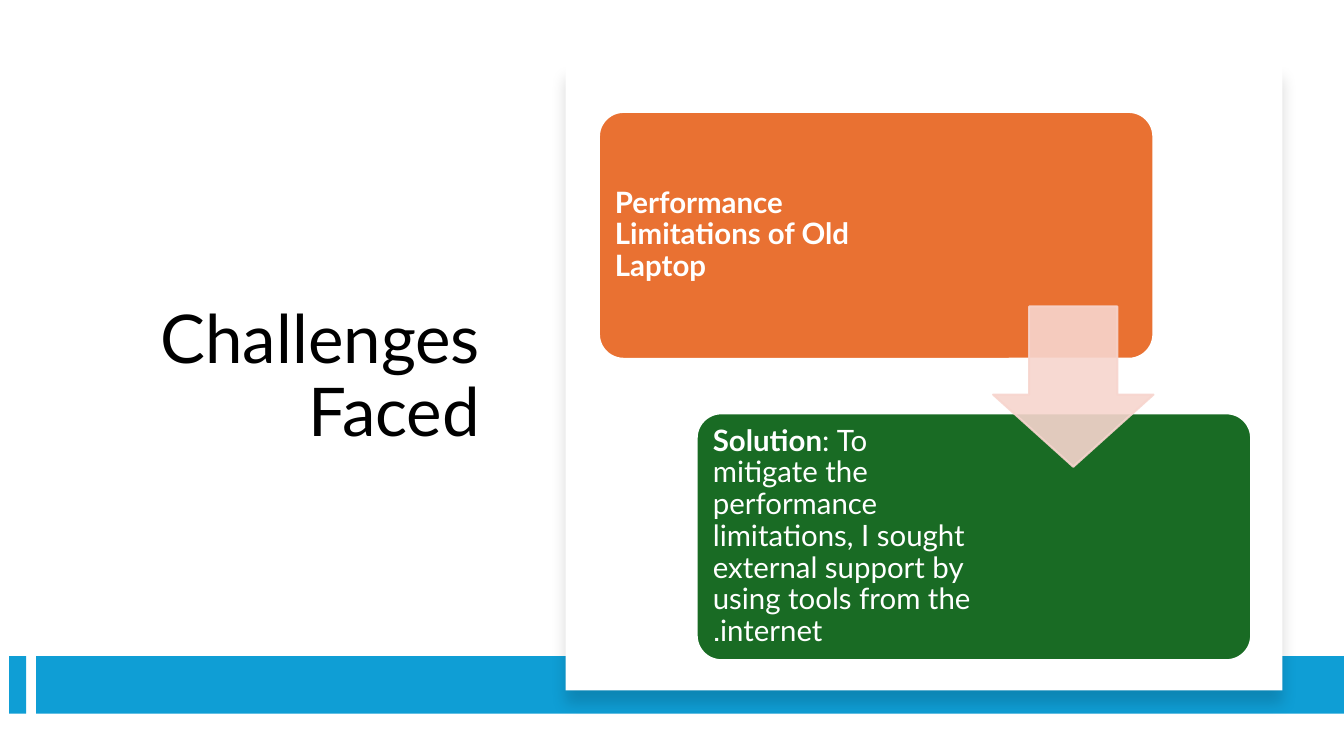
from lxml import etree
from pptx import Presentation
from pptx.dml.color import RGBColor
from pptx.enum import shapes as sh, text as tx
from pptx.oxml import ns
from pptx.util import Inches, Pt

# Content: runs are (text, bold)
TITLE = [("Challenges Faced", False)]
CARDS = [
    ("orange", 2.97, [("Performance Limitations of Old Laptop", True)]),
    ("green", 2.79, [
        ("Solution", True),
        (": To mitigate the performance limitations, I sought external "
         "support by using tools from the internet.", False)]),
]
HEX = {"blue": "0F9ED5", "white": "FFFFFF", "black": "000000",
       "orange": "E97132", "green": "196B24", "pink": "F7D5CE"}
FONT = "Lato"
KIND = sh.MSO_SHAPE

prs = Presentation()
prs.slide_width, prs.slide_height = Inches(13.33), Inches(7.5)
slide = prs.slides.add_slide(prs.slide_layouts[6])


def rgb(name):
    return RGBColor.from_string(HEX[name])


def sub(parent, tag, **attrs):
    return etree.SubElement(parent, ns.qn(tag), **attrs)


def shape(kind, box, fill, line=None, adj=()):
    item = slide.shapes.add_shape(kind, *map(Inches, box))
    item.shadow.inherit = False
    item.fill.solid()
    item.fill.fore_color.rgb = rgb(fill)
    if line:
        item.line.color.rgb = rgb(line)
        item.line.width = Pt(1.5)
    else:
        item.line.fill.background()
    for i, val in enumerate(adj):
        item.adjustments[i] = val
    return item


def write(box, runs, size, color, align, pad=None):
    frame = slide.shapes.add_textbox(*map(Inches, box)).text_frame
    frame.word_wrap = True
    frame.vertical_anchor = tx.MSO_ANCHOR.MIDDLE
    if pad is not None:
        frame.margin_left = frame.margin_right = Inches(pad)
        frame.margin_top = frame.margin_bottom = Inches(pad)
    para = frame.paragraphs[0]
    para.alignment = align
    para.line_spacing = 0.9
    para._p.get_or_add_pPr().set("rtl", "1")
    for words, bold in runs:
        run = para.add_run()
        run.text = words
        run.font.name, run.font.size, run.font.bold = FONT, Pt(size), bold
        run.font.color.rgb = rgb(color)


# Title
write((0.71, 1.2, 4.15, 5.1), TITLE, 48, "black", tx.PP_ALIGN.RIGHT)

# Footer band
for left, width in ((0.09, 0.17), (0.36, 12.97)):
    shape(KIND.RECTANGLE, (left, 6.51, width, 0.57), "blue")

# White panel with a soft shadow below
panel = shape(KIND.RECTANGLE, (5.61, 0.64, 7.11, 6.21), "white")
glow = sub(panel._element.spPr.find(ns.qn("a:effectLst")), "a:outerShdw",
           blurRad=str(Pt(11)), dist=str(Pt(10)), dir="5400000",
           algn="ctr", rotWithShape="0")
sub(sub(glow, "a:srgbClr", val=HEX["black"]), "a:alpha", val="15000")

# Stepped cards
for i, (fill, width, runs) in enumerate(CARDS):
    left, top = 5.94 + 0.97 * i, 1.11 + 2.99 * i
    shape(KIND.ROUNDED_RECTANGLE, (left, top, 5.5, 2.45), fill, "white", [0.1])
    write((left + 0.07, top + 0.07, width, 2.31), runs, 21, "white",
          tx.PP_ALIGN.LEFT, 0.09)

# Arrow between the cards; adjustments are shaft width, head length
arrow = shape(KIND.DOWN_ARROW, (9.85, 3.04, 1.59, 1.59), "pink", "pink",
              [0.55, 0.45])
for tone in arrow._element.spPr.iter(ns.qn("a:srgbClr")):
    sub(tone, "a:alpha", val="90000")

prs.save("out.pptx")
